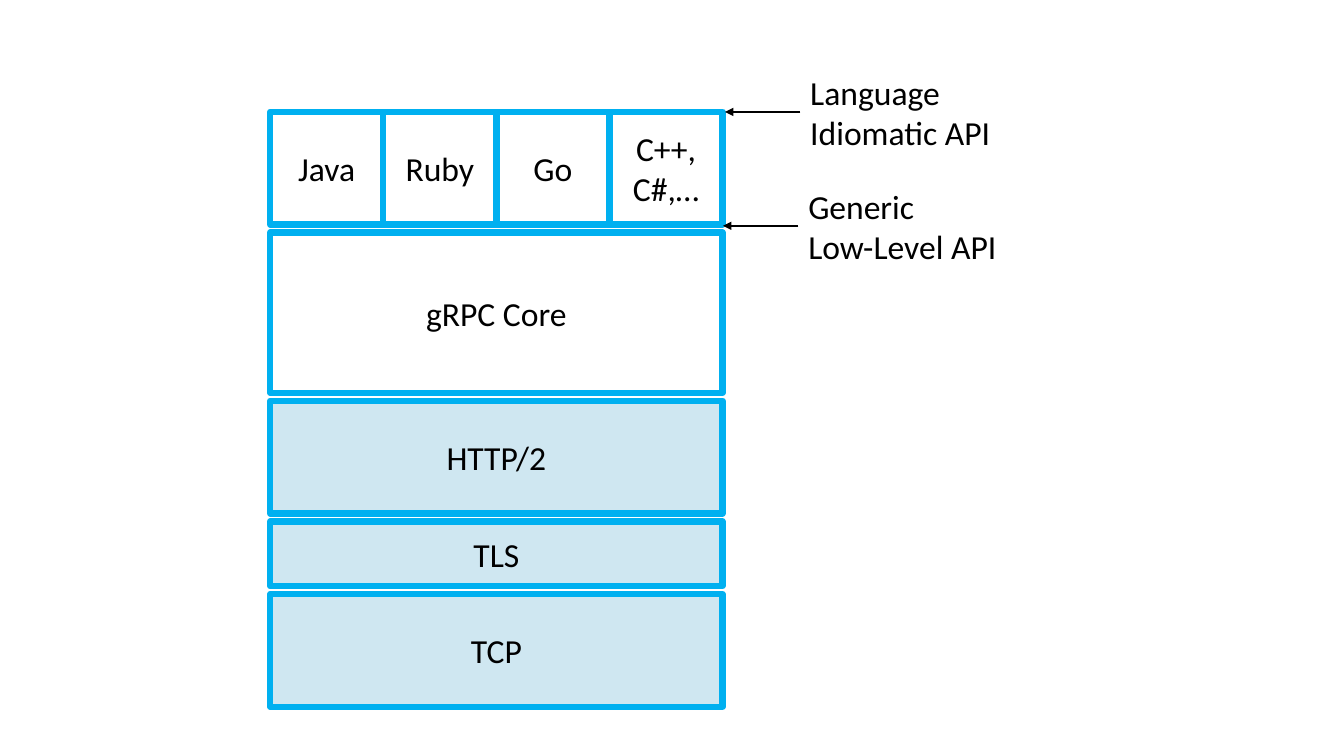
from dataclasses import dataclass
from lxml.etree import SubElement
from pptx import Presentation
from pptx.dml.color import RGBColor
from pptx.enum.shapes import MSO_CONNECTOR as CONN, MSO_SHAPE as SHAPE
from pptx.enum.text import MSO_ANCHOR as ANCHOR, PP_ALIGN as ALIGN
from pptx.oxml.ns import qn
from pptx.util import Cm, Pt


@dataclass(frozen=True)
class Theme:
    font: str = "Calibri"
    size: float = 24
    ink: str = "000000"
    border: str = "00B0F0"
    grpc: str = "FFFFFF"
    transport: str = "CFE7F1"
    border_width: float = 4.5
    arrow_width: float = 1.5


theme = Theme()

LAYERS = [
    (2.84, theme.grpc, [["Java"], ["Ruby"], ["Go"], ["C++,", "C#,…"]]),
    (4.04, theme.grpc, [["gRPC Core"]]),
    (2.84, theme.transport, [["HTTP/2"]]),
    (1.63, theme.transport, [["TLS"]]),
    (2.84, theme.transport, [["TCP"]]),
]
APIS = [
    (20.17, 2.82, ["Language", "Idiomatic API"]),
    (20.12, 5.69, ["Generic", "Low-Level API"]),
]
STACK_LEFT, STACK_TOP, STACK_WIDTH, GAP = 6.81, 2.82, 11.4, 0.2
ARROW_LENGTH = 1.9
LABEL_WIDTH, LABEL_HEIGHT, LABEL_RISE = 5.77, 2.31, 1.14


def color(value):
    return RGBColor.from_string(value)


def write(tf, lines, align):
    tf.word_wrap = True
    for i, line in enumerate(lines):
        p = tf.paragraphs[0] if i == 0 else tf.add_paragraph()
        p.alignment = align
        r = p.add_run()
        r.text = line
        r.font.name = theme.font
        r.font.size = Pt(theme.size)
        r.font.color.rgb = color(theme.ink)


def add_box(s, x, y, w, h, fill, lines):
    sp = s.shapes.add_shape(SHAPE.RECTANGLE, Cm(x), Cm(y), Cm(w), Cm(h))
    sp.shadow.inherit = False
    sp.fill.solid()
    sp.fill.fore_color.rgb = color(fill)
    sp.line.color.rgb = color(theme.border)
    sp.line.width = Pt(theme.border_width)
    sp.text_frame.vertical_anchor = ANCHOR.MIDDLE
    write(sp.text_frame, lines, ALIGN.CENTER)


def add_api(s, x, y, lines):
    label = s.shapes.add_textbox(
        Cm(x), Cm(y - LABEL_RISE), Cm(LABEL_WIDTH), Cm(LABEL_HEIGHT))
    write(label.text_frame, lines, ALIGN.LEFT)
    arrow = s.shapes.add_connector(
        CONN.STRAIGHT, Cm(x), Cm(y), Cm(x - ARROW_LENGTH), Cm(y))
    arrow.line.color.rgb = color(theme.ink)
    arrow.line.width = Pt(theme.arrow_width)
    SubElement(arrow.line._get_or_add_ln(), qn("a:tailEnd"), type="triangle")
    SubElement(arrow._element.spPr, qn("a:effectLst"))


prs = Presentation()
prs.slide_width, prs.slide_height = Cm(33.87), Cm(19.05)
s = prs.slides.add_slide(prs.slide_layouts[6])

top = STACK_TOP
for height, fill, boxes in LAYERS:
    width = STACK_WIDTH / len(boxes)
    for col, lines in enumerate(boxes):
        add_box(s, STACK_LEFT + col * width, top, width, height, fill, lines)
    top += height + GAP

for x, y, lines in APIS:
    add_api(s, x, y, lines)

prs.save("out.pptx")
